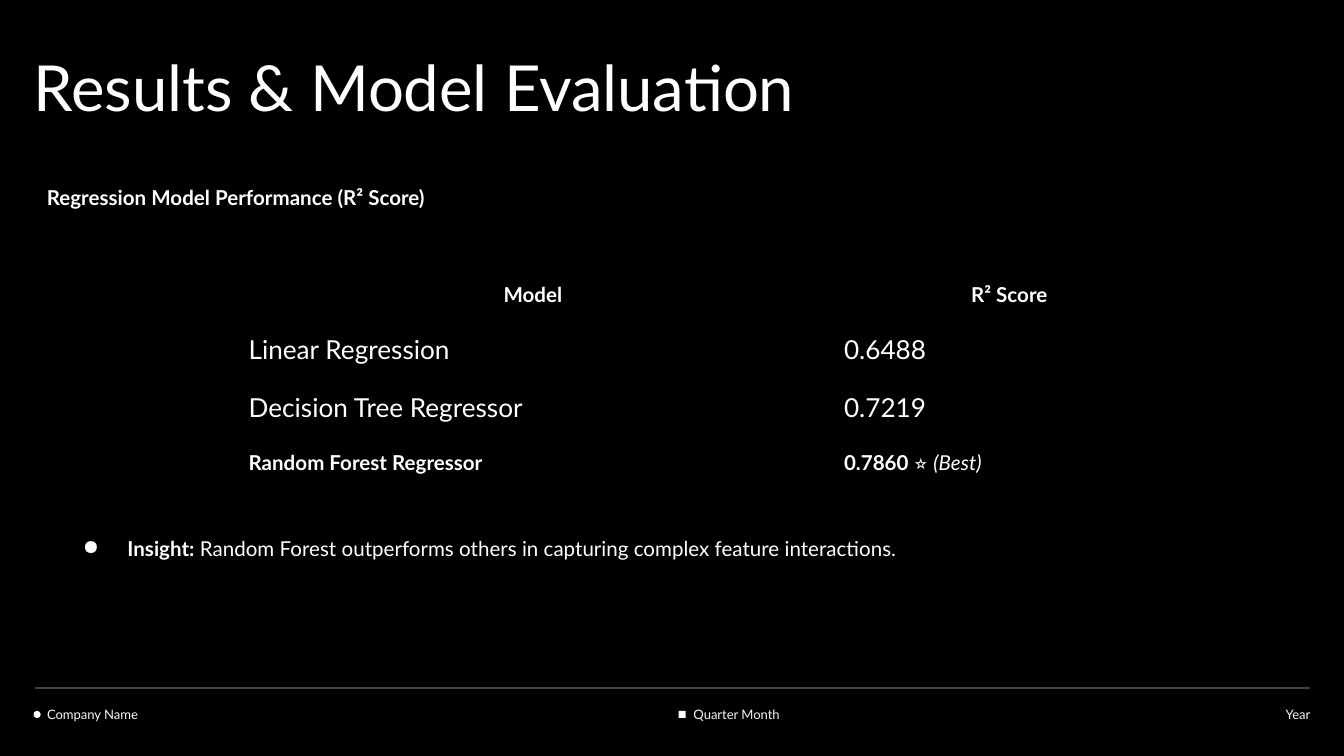
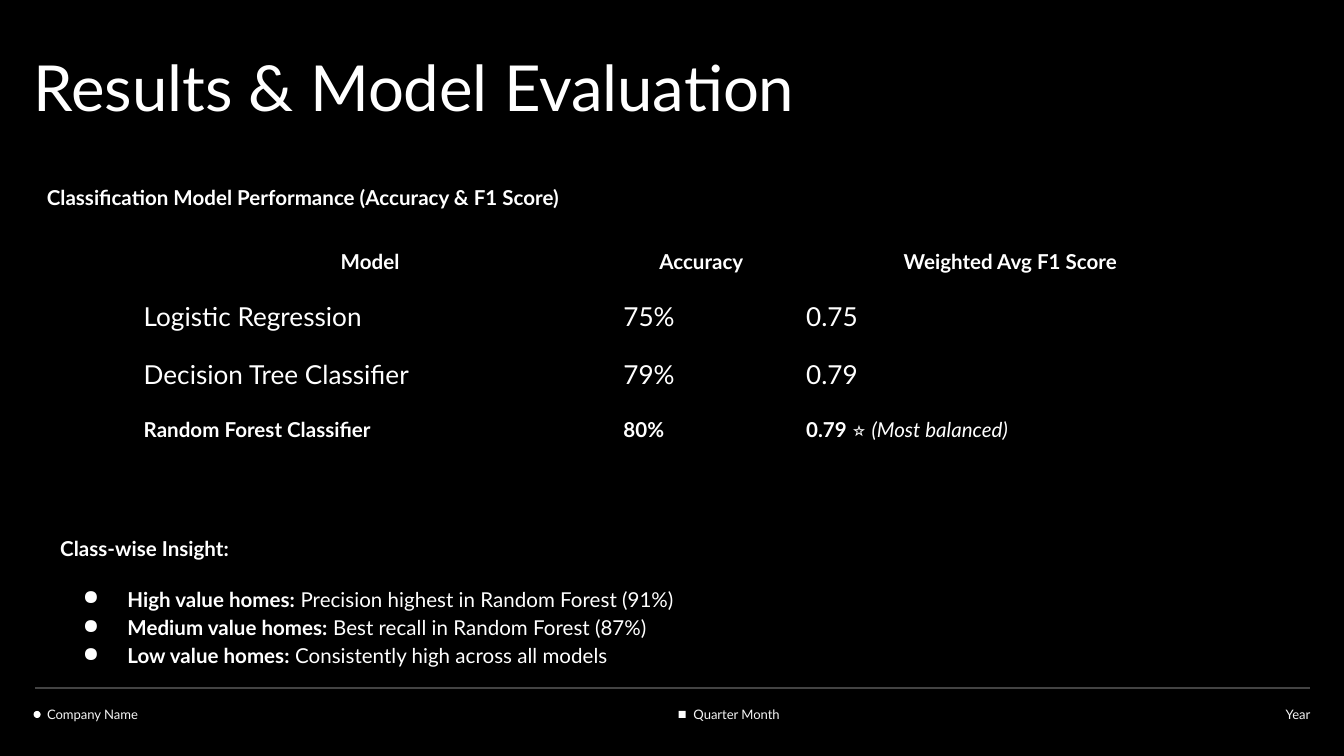
from dataclasses import dataclass
from typing import NamedTuple

from lxml.etree import SubElement
from pptx import Presentation
from pptx.dml.color import RGBColor
from pptx.enum.shapes import MSO_CONNECTOR, MSO_SHAPE
from pptx.enum.text import MSO_ANCHOR, MSO_AUTO_SIZE, PP_ALIGN
from pptx.oxml.ns import qn
from pptx.util import Pt


@dataclass(frozen=True)
class Theme:
    font: str = "Lato"
    background: RGBColor = RGBColor(0, 0, 0)
    text: RGBColor = RGBColor(0xFF, 0xFF, 0xFF)
    footer: RGBColor = RGBColor(0xF5, 0xF5, 0xF5)
    rule: RGBColor = RGBColor(0x43, 0x43, 0x43)
    title_size: int = 34
    cell_size: int = 14
    body_size: int = 11
    footer_size: int = 7
    inset: float = 7.2
    line_spacing: float = 1.15


THEME = Theme()
NO_TABLE_STYLE = "{2D5ABB26-0587-4C30-8999-92F81FD0307C}"


class Frame(NamedTuple):
    left: float
    top: float
    width: float
    height: float


class Span(NamedTuple):
    text: str
    bold: bool = False
    italic: bool = False


class Para(NamedTuple):
    spans: list[Span]
    bullet: bool = False
    space_before: float = 0


class Footer(NamedTuple):
    text: str
    frame: Frame
    align: PP_ALIGN = PP_ALIGN.LEFT


class Marker(NamedTuple):
    shape: MSO_SHAPE
    left: float


class Grid(NamedTuple):
    left: float
    top: float
    widths: list[float]
    header: list[str]
    rows: list[list[str]]
    best: list[str]
    remark: str


class Page(NamedTuple):
    heading: str
    grid: Grid
    insights: list[Para]


TITLE = "Results & Model Evaluation"
TITLE_FRAME = Frame(18, 30.2, 510.5, 44.6)
HEADING_FRAME = Frame(18, 90, 353.5, 28)
INSIGHT_LEFT, INSIGHT_TOP, INSIGHT_WIDTH = 25.2, 278, 492.5
RULE_LEFT, RULE_RIGHT, RULE_TOP = 18.7, 702, 368.7
MARKER_TOP, MARKER_SIZE = 380.9, 3.8
MARKERS = [Marker(MSO_SHAPE.OVAL, 18), Marker(MSO_SHAPE.RECTANGLE, 363.6)]
FOOTERS = [
    Footer("Company Name", Frame(25.2, 368, 212.4, 18.7)),
    Footer("Quarter Month", Frame(371.5, 368, 180.7, 18.7)),
    Footer("Year", Frame(540, 368.7, 162, 18), PP_ALIGN.RIGHT),
]


def insight(label: str, text: str, space_before: float = 0) -> Para:
    return Para([Span(label, bold=True), Span(f" {text}")], True, space_before)


PAGES = [
    Page(
        "Regression Model Performance (R² Score)",
        Grid(
            126, 141.8, [319, 191.5],
            ["Model", "R² Score"],
            [["Linear Regression", "0.6488"], ["Decision Tree Regressor", "0.7219"]],
            ["Random Forest Regressor", "0.7860"],
            "(Best)",
        ),
        [insight("Insight:", "Random Forest outperforms others in capturing complex feature interactions.")],
    ),
    Page(
        "Classification Model Performance (Accuracy & F1 Score)",
        Grid(
            69.8, 124.4, [257, 97.9, 233.3],
            ["Model", "Accuracy", "Weighted Avg F1 Score"],
            [["Logistic Regression", "75%", "0.75"], ["Decision Tree Classifier", "79%", "0.79"]],
            ["Random Forest Classifier", "80%", "0.79"],
            "(Most balanced)",
        ),
        [
            Para([Span("Class-wise Insight:", bold=True)]),
            insight("High value homes:", "Precision highest in Random Forest (91%)", 12),
            insight("Medium value homes:", "Best recall in Random Forest (87%)"),
            insight("Low value homes:", "Consistently high across all models"),
        ],
    ),
]


def points(frame: Frame) -> list[Pt]:
    return [Pt(length) for length in frame]


def set_insets(target, left_top: float, right_bottom: float) -> None:
    target.margin_left = target.margin_top = Pt(left_top)
    target.margin_right = target.margin_bottom = Pt(right_bottom)


def add_bullet(paragraph) -> None:
    properties = paragraph._p.get_or_add_pPr()
    properties.set("marL", str(Pt(36)))
    properties.set("indent", str(Pt(-23.8)))
    colour = SubElement(properties, qn("a:buClr"))
    SubElement(colour, qn("a:srgbClr"), val=str(THEME.text))
    SubElement(properties, qn("a:buChar"), char="●")


def write_spans(paragraph, spans: list[Span], size: float, colour: RGBColor = THEME.text) -> None:
    for span in spans:
        run = paragraph.add_run()
        run.text = span.text
        run.font.name = THEME.font
        run.font.size = Pt(size)
        run.font.bold = span.bold
        run.font.italic = span.italic
        run.font.color.rgb = colour


def add_text(
    slide,
    frame: Frame,
    paras: list[Para],
    size: float,
    colour: RGBColor = THEME.text,
    align: PP_ALIGN = PP_ALIGN.LEFT,
    line_spacing: float = THEME.line_spacing,
    insets: tuple[float, float] = (THEME.inset, THEME.inset),
    anchor: MSO_ANCHOR = MSO_ANCHOR.TOP,
    grow: bool = True,
) -> None:
    text_frame = slide.shapes.add_textbox(*points(frame)).text_frame
    text_frame.word_wrap = True
    text_frame.auto_size = MSO_AUTO_SIZE.SHAPE_TO_FIT_TEXT if grow else MSO_AUTO_SIZE.NONE
    text_frame.vertical_anchor = anchor
    set_insets(text_frame, *insets)
    for index, para in enumerate(paras):
        paragraph = text_frame.add_paragraph() if index else text_frame.paragraphs[0]
        paragraph.alignment = align
        paragraph.line_spacing = line_spacing
        paragraph.space_before = Pt(para.space_before)
        if para.bullet:
            add_bullet(paragraph)
        write_spans(paragraph, para.spans, size, colour)


def add_footer_band(slide) -> None:
    for marker in MARKERS:
        frame = Frame(marker.left, MARKER_TOP, MARKER_SIZE, MARKER_SIZE)
        shape = slide.shapes.add_shape(marker.shape, *points(frame))
        shape.shadow.inherit = False
        shape.fill.solid()
        shape.fill.fore_color.rgb = THEME.text
        shape.line.fill.background()
    rule = slide.shapes.add_connector(
        MSO_CONNECTOR.STRAIGHT, Pt(RULE_LEFT), Pt(RULE_TOP), Pt(RULE_RIGHT), Pt(RULE_TOP)
    )
    rule.line.color.rgb = THEME.rule
    rule.line.width = Pt(0.75)
    SubElement(rule._element.spPr, qn("a:effectLst"))
    for footer in FOOTERS:
        add_text(
            slide, footer.frame, [Para([Span(footer.text)])], THEME.footer_size, THEME.footer,
            footer.align, insets=(0, 0), anchor=MSO_ANCHOR.BOTTOM, grow=False,
        )


def add_grid(slide, grid: Grid) -> None:
    heights = [15.1] * (len(grid.rows) + 1) + [17.3]
    frame = Frame(grid.left, grid.top, sum(grid.widths), sum(heights))
    table = slide.shapes.add_table(len(heights), len(grid.widths), *points(frame)).table
    table.first_row = table.horz_banding = False
    table._tbl.tblPr.find(qn("a:tableStyleId")).text = NO_TABLE_STYLE
    for column, width in zip(table.columns, grid.widths):
        column.width = Pt(width)
    last_row = len(heights) - 1
    for row_index, values in enumerate([grid.header, *grid.rows, grid.best]):
        table.rows[row_index].height = Pt(heights[row_index])
        strong = row_index in (0, last_row)
        size = THEME.body_size if strong else THEME.cell_size
        for column_index, value in enumerate(values):
            cell = table.cell(row_index, column_index)
            cell.fill.background()
            set_insets(cell, THEME.inset, THEME.inset)
            paragraph = cell.text_frame.paragraphs[0]
            if row_index == 0:
                paragraph.alignment = PP_ALIGN.CENTER
                paragraph.line_spacing = THEME.line_spacing
            spans = [Span(value, bold=strong)]
            if row_index == last_row and column_index == len(values) - 1:
                spans += [Span(" ⭐ "), Span(grid.remark, italic=True)]
            write_spans(paragraph, spans, size)


def add_page(deck, page: Page) -> None:
    slide = deck.slides.add_slide(deck.slide_layouts[6])
    add_footer_band(slide)
    add_text(
        slide, TITLE_FRAME, [Para([Span(TITLE)])], THEME.title_size,
        line_spacing=0.9, insets=(0, THEME.inset),
    )
    add_text(slide, HEADING_FRAME, [Para([Span(page.heading, bold=True)])], THEME.body_size)
    add_grid(slide, page.grid)
    height = 28 + 15.2 * len(page.insights)
    add_text(
        slide, Frame(INSIGHT_LEFT, INSIGHT_TOP, INSIGHT_WIDTH, height),
        page.insights, THEME.body_size,
    )


def main() -> None:
    deck = Presentation()
    deck.slide_width, deck.slide_height = Pt(720), Pt(405)
    fill = deck.slide_master.background.fill
    fill.solid()
    fill.fore_color.rgb = THEME.background
    for page in PAGES:
        add_page(deck, page)
    deck.save("out.pptx")


if __name__ == "__main__":
    main()
